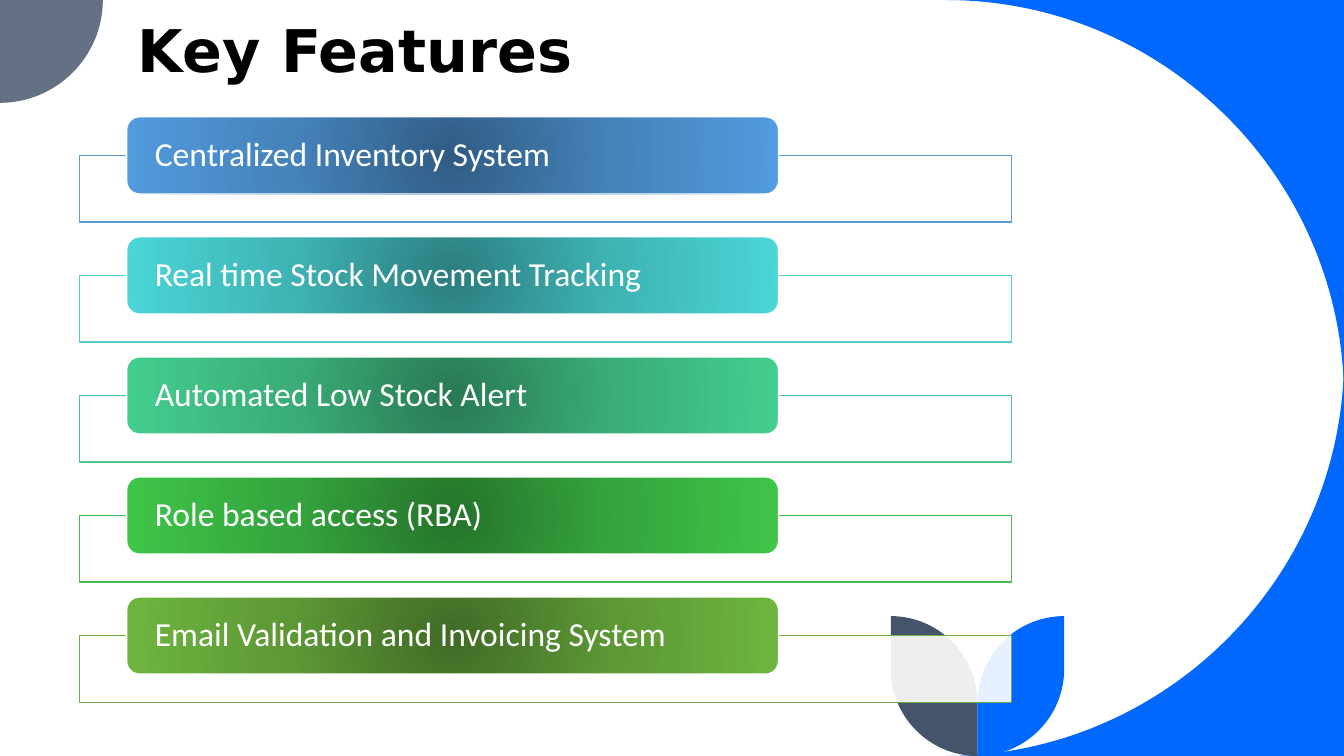
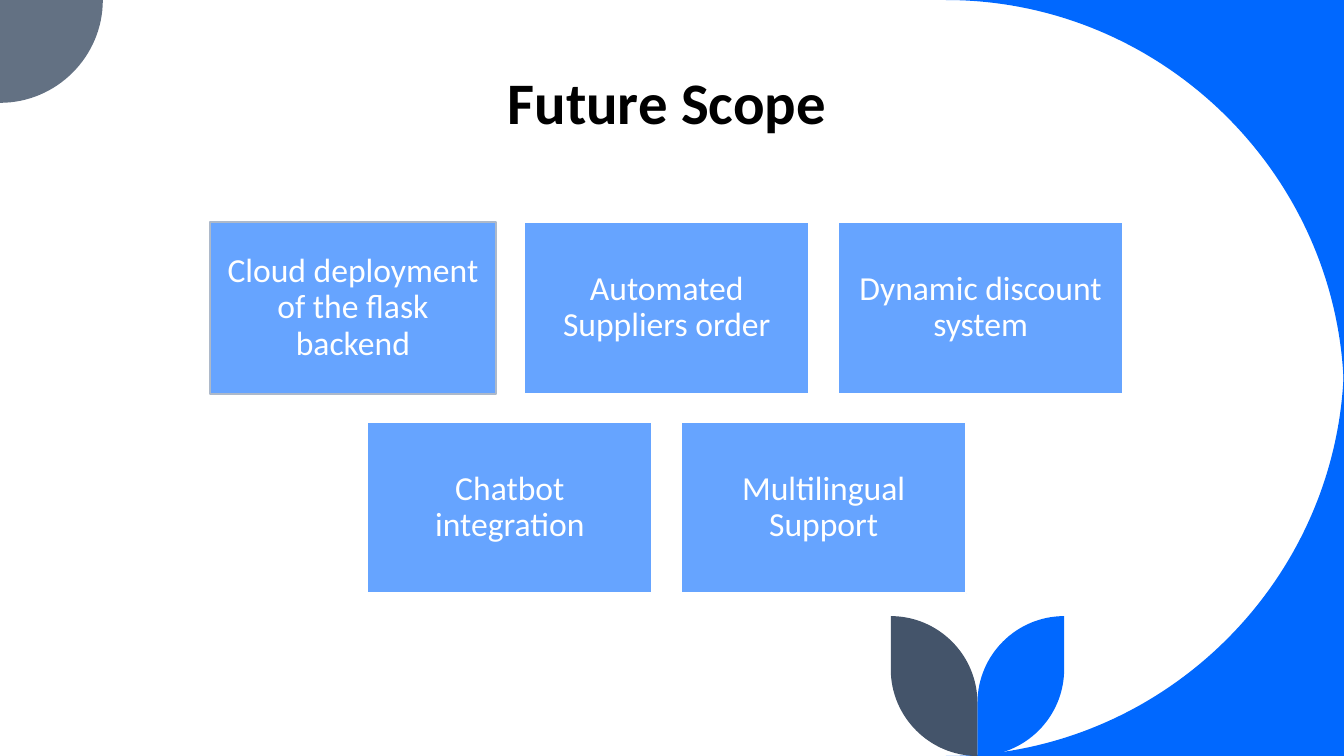
from dataclasses import dataclass
from math import cos, radians, sin
from typing import NamedTuple

from pptx import Presentation
from pptx.dml.color import RGBColor
from pptx.enum.shapes import MSO_SHAPE as Shape
from pptx.enum.text import MSO_ANCHOR as Anchor, PP_ALIGN as Align
from pptx.oxml import parse_xml
from pptx.oxml.ns import nsdecls, qn
from pptx.util import Inches, Pt

COLS, ROWS = 160, 90
CELL = Inches(7.5) / ROWS
Point = tuple[float, float]


@dataclass(frozen=True)
class Theme:
    blue: str = "0068FF"
    corner: str = "637183"
    slate: str = "44546A"
    card: str = "66A4FF"
    card_edge: str = "ADB9CA"
    white: str = "FFFFFF"
    black: str = "000000"
    body_font: str = "Calibri"
    wide_font: str = "DejaVu Sans"
    title_size: float = 42
    body_size: float = 24
    thin: float = 1
    edge: float = 1.5


class Box(NamedTuple):
    col: float
    row: float
    cols: float
    rows: float

    def emu(self) -> list[int]:
        return [units(v) for v in self]


class Feature(NamedTuple):
    text: str
    line: str
    dark: str
    mid: str
    light: str


class QuarterArc(NamedTuple):
    col: float
    row: float
    radius: float
    start: float
    end: float

    def points(self) -> list[Point]:
        pull = 0.55
        ux, uy = cos(radians(self.start)), sin(radians(self.start))
        vx, vy = cos(radians(self.end)), sin(radians(self.end))
        weights = [(1, 0), (1, pull), (pull, 1), (0, 1)]
        return [(self.col + self.radius * (a * ux + b * vx), self.row + self.radius * (a * uy + b * vy))
                for a, b in weights]

    def mirrored(self, axis: float) -> "QuarterArc":
        return self._replace(col=2 * axis - self.col, start=180 - self.start, end=180 - self.end)


THEME = Theme()
FEATURES = [
    Feature("Centralized Inventory System", "5B9BD5", "305C84", "4583BB", "529BDE"),
    Feature("Real time Stock Movement Tracking", "54CCCD", "2C7E7F", "3FB4B5", "4BD5D6"),
    Feature("Automated Low Stock Alert", "4DC58D", "297A54", "3AAD78", "44CE8E"),
    Feature("Role based access (RBA)", "48BB4F", "25742B", "35A53D", "3FC448"),
    Feature("Email Validation and Invoicing System", "70AD47", "416B26", "5D9835", "6EB53F"),
]
SCOPE_ROWS = [
    ["Cloud deployment of the flask backend", "Automated Suppliers order", "Dynamic discount system"],
    ["Chatbot integration", "Multilingual Support"],
]
FRAME, TAB, FEATURE_PITCH = Box(9.5, 18.5, 110.9, 7.94), Box(15.08, 13.9, 77.6, 9.2), 14.29
CARD, CARD_CENTRE, CARD_GAP = Box(0, 26.46, 33.98, 20.4), 79.38, 3.38


def units(cells: float) -> int:
    return round(cells * CELL)


def rgb(value: str) -> RGBColor:
    return RGBColor.from_string(value)


def add_outline(slide, corners: list[Point], arcs: list[QuarterArc], color: str) -> None:
    points = corners + [point for arc in arcs for point in arc.points()]
    emu = [(units(x), units(y)) for x, y in points]
    builder = slide.shapes.build_freeform(*emu[0], scale=1.0)
    builder.add_line_segments(emu[1:], close=True)
    sp = builder.convert_to_shape()
    sp.shadow.inherit = False
    sp.fill.solid()
    sp.fill.fore_color.rgb = rgb(color)
    sp.line.fill.background()
    bend_arcs(sp, len(corners), len(arcs))


def bend_arcs(sp, first: int, count: int) -> None:
    outline = next(sp.element.iter(qn("a:path")))
    nodes = list(outline)
    for start in range(first, first + 4 * count, 4):
        curve = parse_xml(f'<a:cubicBezTo {nsdecls("a")}/>')
        nodes[start].addnext(curve)
        for node in nodes[start + 1:start + 4]:
            curve.append(node[0])
            outline.remove(node)


def add_backdrop(slide) -> None:
    radius = 47.4
    left = COLS - radius
    add_outline(slide, [(COLS, 0)], [QuarterArc(left, radius, radius, -90, 0)], THEME.blue)
    add_outline(slide, [(COLS, ROWS)], [QuarterArc(left, ROWS - radius, radius, 0, 90)], THEME.blue)
    add_outline(slide, [(0, 0)], [QuarterArc(0, 0, 12.24, 0, 90)], THEME.corner)
    stem, width, top = 116.37, 10.32, 73.35
    leaf = [QuarterArc(stem, ROWS - width, width, 0, 90),
            QuarterArc(stem + width, top + width, width, 180, 270)]
    add_outline(slide, [], leaf, THEME.blue)
    add_outline(slide, [], [arc.mirrored(stem) for arc in leaf], THEME.slate)


def add_panel(slide, kind: Shape, box: Box, fill: str, line: str, weight: float):
    sp = slide.shapes.add_shape(kind, *box.emu())
    sp.shadow.inherit = False
    sp.fill.solid()
    sp.fill.fore_color.rgb = rgb(fill)
    sp.line.color.rgb = rgb(line)
    sp.line.width = Pt(weight)
    return sp


def set_text(sp, text: str, size: float, color: str, font: str, align: Align,
             anchor: Anchor, spacing: float, bold: bool = False) -> None:
    tf = sp.text_frame
    tf.word_wrap = True
    tf.vertical_anchor = anchor
    tf.text = text
    p = tf.paragraphs[0]
    p.alignment = align
    p.line_spacing = spacing
    r = p.runs[0]
    r.font.size, r.font.name, r.font.bold = Pt(size), font, bold
    r.font.color.rgb = rgb(color)


def set_body(sp, text: str, align: Align, side: float, edge: float) -> None:
    set_text(sp, text, THEME.body_size, THEME.white, THEME.body_font, align, Anchor.MIDDLE, 0.9)
    tf = sp.text_frame
    tf.margin_left = tf.margin_right = units(side)
    tf.margin_top = tf.margin_bottom = units(edge)


def add_title(slide, text: str, box: Box, font: str, align: Align) -> None:
    sp = slide.shapes.add_textbox(*box.emu())
    set_text(sp, text, THEME.title_size, THEME.black, font, align, Anchor.BOTTOM, 0.8, True)


def set_opacity(sp, percent: int) -> None:
    color = sp.element.spPr.find(qn("a:solidFill"))[0]
    color.append(parse_xml(f'<a:alpha {nsdecls("a")} val="{percent * 1000}"/>'))


def set_radial(sp, colors: list[str]) -> None:
    stops = "".join(
        f'<a:gs pos="{i * 50000}"><a:srgbClr val="{color}"/></a:gs>' for i, color in enumerate(colors))
    grad = parse_xml(
        f'<a:gradFill {nsdecls("a")} rotWithShape="1"><a:gsLst>{stops}</a:gsLst>'
        '<a:path path="circle"><a:fillToRect l="50000" t="50000" r="50000" b="50000"/></a:path>'
        '</a:gradFill>')
    spPr = sp.element.spPr
    spPr.replace(spPr.find(qn("a:solidFill")), grad)


def add_feature(slide, feature: Feature, shift: float) -> None:
    frame = FRAME._replace(row=FRAME.row + shift)
    sp = add_panel(slide, Shape.RECTANGLE, frame, THEME.white, feature.line, THEME.thin)
    set_opacity(sp, 90)
    tab = TAB._replace(row=TAB.row + shift)
    sp = add_panel(slide, Shape.ROUNDED_RECTANGLE, tab, feature.mid, THEME.white, THEME.thin)
    set_radial(sp, [feature.dark, feature.mid, feature.light])
    set_body(sp, feature.text, Align.LEFT, 2.9, 0)


def add_card_row(slide, texts: list[str], index: int) -> None:
    pitch = CARD.cols + CARD_GAP
    left = CARD_CENTRE - (len(texts) * pitch - CARD_GAP) / 2
    top = CARD.row + index * (CARD.rows + CARD_GAP)
    for i, text in enumerate(texts):
        edge = THEME.card_edge if index == i == 0 else THEME.white
        box = CARD._replace(col=left + i * pitch, row=top)
        sp = add_panel(slide, Shape.RECTANGLE, box, THEME.card, edge, THEME.edge)
        set_body(sp, text, Align.CENTER, 1.2, 1.2)


def add_slide(prs):
    slide = prs.slides.add_slide(prs.slide_layouts[6])
    slide.background.fill.solid()
    slide.background.fill.fore_color.rgb = rgb(THEME.white)
    add_backdrop(slide)
    return slide


def build_features(prs) -> None:
    slide = add_slide(prs)
    add_title(slide, "Key Features", Box(15.24, 1.3, 128.3, 9.25), THEME.wide_font, Align.LEFT)
    for i, feature in enumerate(FEATURES):
        add_feature(slide, feature, i * FEATURE_PITCH)


def build_scope(prs) -> None:
    slide = add_slide(prs)
    add_title(slide, "Future Scope", Box(15.24, 4.55, 128.3, 12.25), THEME.body_font, Align.CENTER)
    for i, texts in enumerate(SCOPE_ROWS):
        add_card_row(slide, texts, i)


def main() -> None:
    prs = Presentation()
    prs.slide_width, prs.slide_height = units(COLS), units(ROWS)
    build_features(prs)
    build_scope(prs)
    prs.save("out.pptx")


if __name__ == "__main__":
    main()
